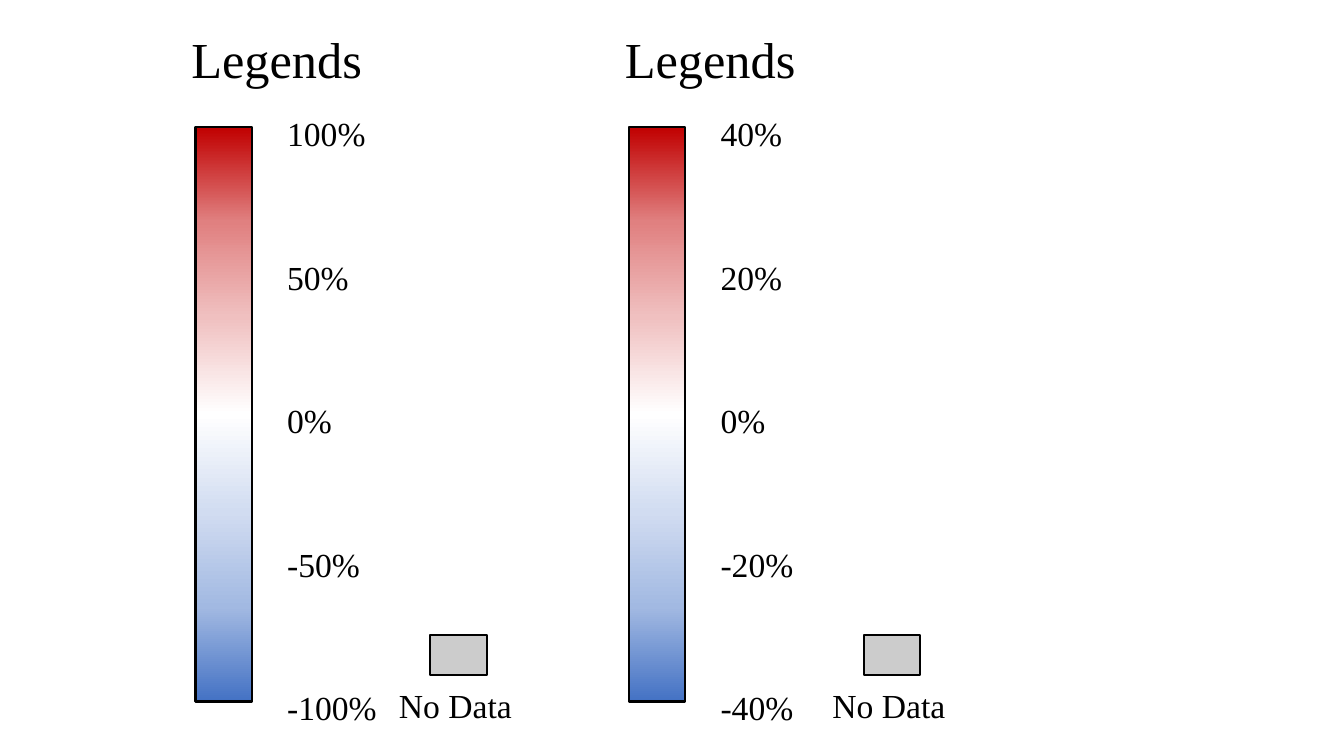
from copy import deepcopy
from dataclasses import dataclass

from pptx import Presentation
from pptx.dml.color import RGBColor
from pptx.enum.shapes import MSO_SHAPE
from pptx.enum.text import MSO_AUTO_SIZE, PP_ALIGN
from pptx.oxml.ns import qn
from pptx.util import Pt

RECTANGLE = MSO_SHAPE.RECTANGLE
GROW = MSO_AUTO_SIZE.SHAPE_TO_FIT_TEXT
LEFT, CENTER = PP_ALIGN.LEFT, PP_ALIGN.CENTER


@dataclass(frozen=True)
class Theme:
    font: str = "Times New Roman"
    title_size: int = 36
    label_size: int = 24
    ink: str = "000000"
    paper: str = "FFFFFF"
    no_data: str = "CCCCCC"
    reds: tuple = ("C00000", "E08080", "F0C0C0", "FFFFFF")
    blues: tuple = ("4472C4", "A2B9E2", "D1DCF1", "FFFFFF")


THEME = Theme()
STOPS = (0, 0.33, 0.66, 1)
DOWNWARD, UPWARD = 270, 90  # counter-clockwise gradient angles

# Shared vertical layout, in points
BAR_TOP, BAR_WIDTH, BAR_HEIGHT = 90.72, 40.32, 410.4
HALF = BAR_HEIGHT / 2
LABEL_TOP = 77.04

# Bar's left edge and scale values of each legend
LEGENDS = (
    (449.28, ("40%", "20%", "0%", "-20%", "-40%")),
    (139.68, ("100%", "50%", "0%", "-50%", "-100%")),
)


def add_box(group, left, top, width, height, line, weight):
    box = group.shapes.add_shape(RECTANGLE, Pt(left), Pt(top), Pt(width), Pt(height))
    box.shadow.inherit = False
    box.fill.background()
    box.line.color.rgb = RGBColor.from_string(line)
    box.line.width = Pt(weight)
    return box


def add_ramp(group, left, top, colors, angle):
    ramp = add_box(group, left, top, BAR_WIDTH, HALF, THEME.paper, 1)
    ramp.fill.gradient()
    ramp.fill.gradient_angle = angle
    # The default gradient has two stops; extend it to one per colour
    stop_list = next(ramp._element.iter(qn("a:gsLst")))
    while len(stop_list) < len(colors):
        stop_list.append(deepcopy(stop_list[0]))
    for stop, position, color in zip(ramp.fill.gradient_stops, STOPS, colors):
        stop.position = position
        stop.color.rgb = RGBColor.from_string(color)


def add_text(group, text, left, top, width, height, size, align=LEFT):
    label = group.shapes.add_textbox(Pt(left), Pt(top), Pt(width), Pt(height))
    frame = label.text_frame
    frame.word_wrap = True
    frame.auto_size = GROW
    paragraph = frame.paragraphs[0]
    paragraph.alignment = align
    run = paragraph.add_run()
    run.text = text
    run.font.name = THEME.font
    run.font.size = Pt(size)
    run.font.color.rgb = RGBColor.from_string(THEME.ink)


def add_legend(slide, left, values):
    legend = slide.shapes.add_group_shape()

    # Colour bar: two ramps meeting at white, with one outline
    add_ramp(legend, left, BAR_TOP + HALF, THEME.blues, UPWARD)
    add_ramp(legend, left, BAR_TOP, THEME.reds, DOWNWARD)
    add_box(legend, left, BAR_TOP, BAR_WIDTH, BAR_HEIGHT, THEME.ink, 1.5)

    # Scale values, evenly spaced along the bar
    step = BAR_HEIGHT / (len(values) - 1)
    for index, value in enumerate(values):
        width = 94.32 if len(value) > 4 else 80.64
        add_text(legend, value, left + 58.32, LABEL_TOP + index * step,
                 width, 35, THEME.label_size)

    # Title
    add_text(legend, "Legends", left - 56.88, 16.56, 229.68, 51,
             THEME.title_size, CENTER)

    # No-data swatch and caption
    swatch = add_box(legend, left + 167.76, 453.6, BAR_WIDTH, 28.8, THEME.ink, 1.5)
    swatch.fill.solid()
    swatch.fill.fore_color.rgb = RGBColor.from_string(THEME.no_data)
    add_text(legend, "No Data", left + 138.24, 486, 105.12, 36, THEME.label_size)


def main():
    deck = Presentation()
    deck.slide_width, deck.slide_height = Pt(960), Pt(540)
    slide = deck.slides.add_slide(deck.slide_layouts[6])
    for left, values in LEGENDS:
        add_legend(slide, left, values)
    deck.save("out.pptx")


if __name__ == "__main__":
    main()
